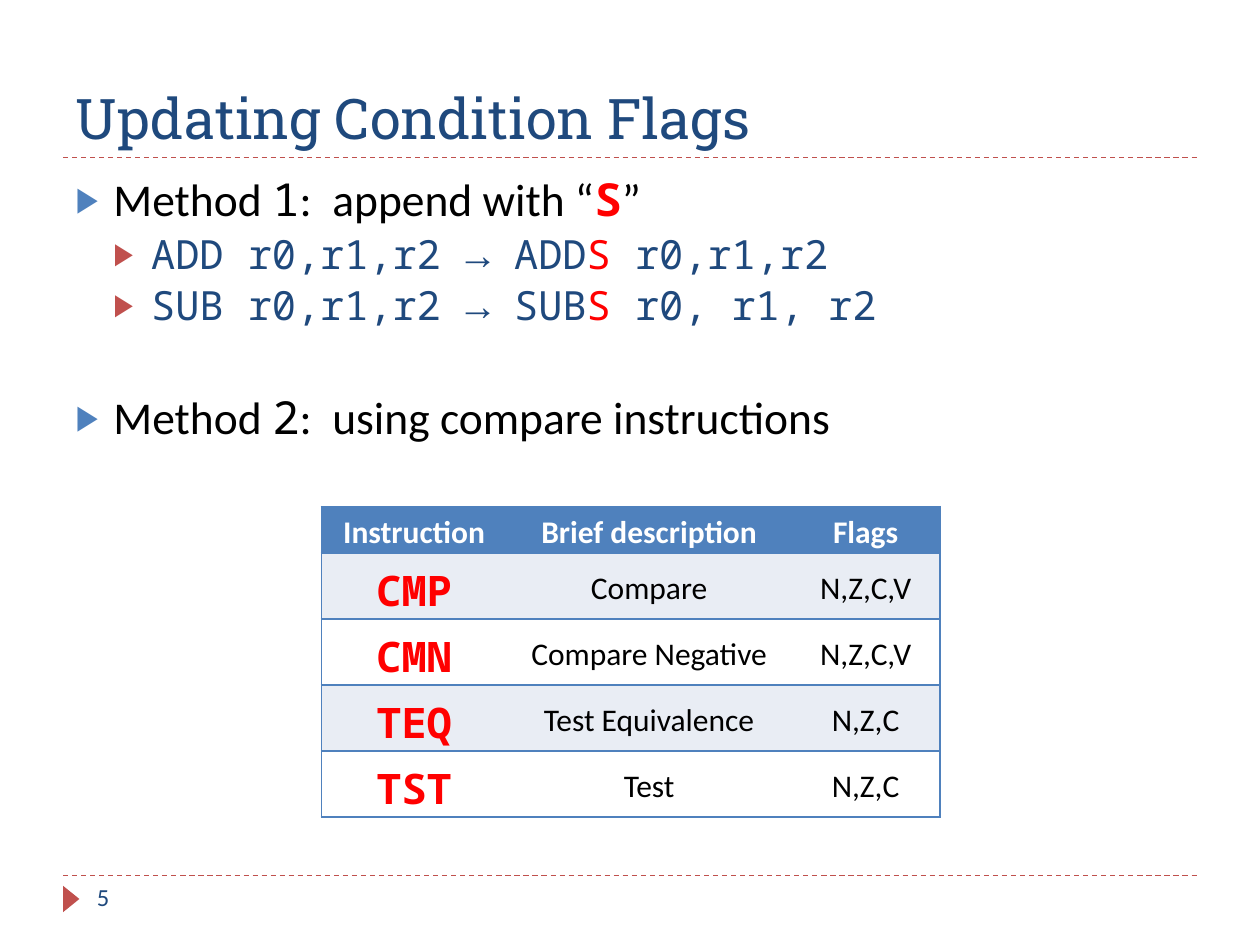
from pptx import Presentation
from pptx import util as u
from pptx.dml.color import RGBColor
from pptx.enum import dml, shapes, text
from pptx.oxml import parse_xml
from pptx.oxml.ns import nsdecls

NAVY = RGBColor(0x1F, 0x49, 0x7D)
BLUE = RGBColor(0x4F, 0x81, 0xBD)
BRICK = RGBColor(0xC0, 0x50, 0x4D)
RED = RGBColor(0xFF, 0x00, 0x00)
PALE = RGBColor(0xE9, 0xED, 0xF4)
WHITE = RGBColor(0xFF, 0xFF, 0xFF)
BLACK = RGBColor(0x00, 0x00, 0x00)
SANS, MONO, ARROW = "Calibri", "Noto Sans Mono", "Courier New"

POINT = {"name": SANS, "size": u.Pt(26), "bold": False}
CODE = {"name": MONO, "size": u.Pt(23), "bold": False}
PLAIN = {"name": SANS, "size": u.Pt(18), "bold": False}
HEADING = {**PLAIN, "bold": True}
MNEMONIC = {"name": MONO, "size": u.Pt(24), "bold": True}

BULLETS = [
    (0, 0, [("Method ", {}, BLACK), ("1", {"name": MONO}, BLACK), (":  append with “", {}, BLACK),
            ("S", {"name": MONO, "bold": True}, RED), ("”", {}, BLACK)]),
    *[(1, 4.4, [(f"{name} r0,r1,r2 ", {}, NAVY), ("→ ", {"name": ARROW}, NAVY),
                (name, {}, NAVY), ("S", {}, RED), (operands, {}, NAVY)])
      for name, operands in [("ADD", " r0,r1,r2"), ("SUB", " r0, r1, r2")]],
    (0, 38, [("Method ", {}, BLACK), ("2", {"name": MONO}, BLACK),
             (":  using compare instructions", {}, BLACK)]),
]
INSTRUCTIONS = [
    ("Instruction", "Brief description", "Flags"),
    ("CMP", "Compare", "N,Z,C,V"),
    ("CMN", "Compare Negative", "N,Z,C,V"),
    ("TEQ", "Test Equivalence", "N,Z,C"),
    ("TST", "Test", "N,Z,C"),
]


def inches(*lengths):
    """Turn numbers into slide lengths."""
    return [u.Inches(length) for length in lengths]


def add_span(para, words, values, color):
    """Add one formatted run to a paragraph."""
    span = para.add_run()
    span.text = words
    for name, value in values.items():
        setattr(span.font, name, value)
    span.font.color.rgb = color


def place(shape, box):
    """Move a shape to a box of left, top, width and height."""
    for name, value in zip(("left", "top", "width", "height"), inches(*box)):
        setattr(shape, name, value)


def add_rule(page, left, top, width):
    """Draw a dashed horizontal rule."""
    rule = page.shapes.add_connector(
        shapes.MSO_CONNECTOR.STRAIGHT, *inches(left, top, left + width, top))
    rule.line.color.rgb = BRICK
    rule.line.width = u.Pt(0.75)
    rule.line.dash_style = dml.MSO_LINE.DASH
    rule._element.spPr.append(parse_xml(f"<a:effectLst {nsdecls('a')}/>"))


def add_heading(page, box):
    """Fill the title placeholder and underline it."""
    left, top, width, height = box
    title = page.shapes.title
    place(title, box)
    title.text_frame.vertical_anchor = text.MSO_ANCHOR.BOTTOM
    title.text_frame.auto_size = text.MSO_AUTO_SIZE.NONE
    para = title.text_frame.paragraphs[0]
    para.alignment = text.PP_ALIGN.LEFT
    add_span(para, "Updating Condition Flags", {"name": "Roboto Slab", "size": u.Pt(32)}, NAVY)
    add_rule(page, left, top + height, width)


def add_bullets(page, box):
    """Fill the body placeholder with two levels of bullets."""
    body = page.placeholders[1]
    place(body, box)
    frame = body.text_frame
    frame.auto_size = text.MSO_AUTO_SIZE.NONE
    frame.margin_top = u.Inches(0.08)
    for index, (level, space, spans) in enumerate(BULLETS):
        para = frame.add_paragraph() if index else frame.paragraphs[0]
        para.level = level
        props = para._p.get_or_add_pPr()
        props.set("marL", str(u.Inches(0.3 * (level + 1))))
        props.set("indent", str(u.Inches(-0.3)))
        color = (BLUE, BRICK)[level]
        for mark in (f'<a:buClr {nsdecls("a")}><a:srgbClr val="{color}"/></a:buClr>',
                     f'<a:buSzPct {nsdecls("a")} val="76000"/>',
                     f'<a:buChar {nsdecls("a")} char="▶"/>'):
            props.append(parse_xml(mark))
        para.line_spacing = 0.9
        para.space_before = u.Pt(space)
        for words, changes, ink in spans:
            add_span(para, words, {**(POINT, CODE)[level], **changes}, ink)


def set_borders(cell, first, last):
    """Rule a cell above and below, and at the outer sides of the table."""
    props = cell._tc.get_or_add_tcPr()
    for side, shown in (("L", first), ("R", last), ("T", True), ("B", True)):
        fill = f'<a:solidFill><a:srgbClr val="{BLUE}"/></a:solidFill>' if shown else "<a:noFill/>"
        props.append(parse_xml(f'<a:ln{side} {nsdecls("a")} w="12700">{fill}</a:ln{side}>'))


def add_instructions(page, box):
    """Add the table of compare instructions."""
    count = len(INSTRUCTIONS)
    frame = page.shapes.add_table(count, 3, *inches(*box))
    table = frame.table
    table.first_row = table.horz_banding = False
    for column, share in zip(table.columns, (0.3, 0.46, 0.24)):
        column.width = u.Inches(box[2] * share)
    for row, words in enumerate(INSTRUCTIONS):
        table.rows[row].height = u.Inches(0.52 if row else 0.37)
        for column, word in enumerate(words):
            cell = table.cell(row, column)
            set_borders(cell, column == 0, column == 2)
            cell.fill.solid()
            cell.fill.fore_color.rgb = (PALE if row % 2 else WHITE) if row else BLUE
            cell.vertical_anchor = text.MSO_ANCHOR.MIDDLE
            for side, margin in zip(("left", "top", "right", "bottom"), inches(0.07, 0, 0.07, 0)):
                setattr(cell, f"margin_{side}", margin)
            para = cell.text_frame.paragraphs[0]
            para.alignment = text.PP_ALIGN.CENTER
            para.line_spacing = 1.15
            values, ink = (HEADING, WHITE) if not row else (PLAIN, BLACK) if column else (MNEMONIC, RED)
            add_span(para, word, values, ink)


def add_footer(page, box):
    """Add the lower rule, the marker and the page number."""
    left, top, width, height = box
    add_rule(page, left, top, width)
    marker = page.shapes.add_shape(
        shapes.MSO_SHAPE.ISOSCELES_TRIANGLE, *inches(left - 0.04, top + 0.12, 0.21, 0.13))
    marker.rotation = 90
    marker.shadow.inherit = False
    marker.fill.solid()
    marker.fill.fore_color.rgb = BRICK
    marker.line.fill.background()
    number = page.shapes.add_textbox(*inches(left + 0.17, top, 2.17, height))
    number.text_frame.word_wrap = True
    add_span(number.text_frame.paragraphs[0], "5", {"name": SANS, "size": u.Pt(14)}, NAVY)


def main():
    """Build the slide and save it."""
    deck = Presentation()
    deck.slide_width, deck.slide_height = inches(10, 7.5)
    page = deck.slides.add_slide(deck.slide_layouts[1])
    add_heading(page, (0.5, 0.17, 9, 1.08))
    add_bullets(page, (0.5, 1.33, 9, 5.4))
    add_instructions(page, (2.55, 4.02, 4.91, 2.45))
    add_footer(page, (0.5, 6.95, 9, 0.4))
    deck.save("out.pptx")


if __name__ == "__main__":
    main()
